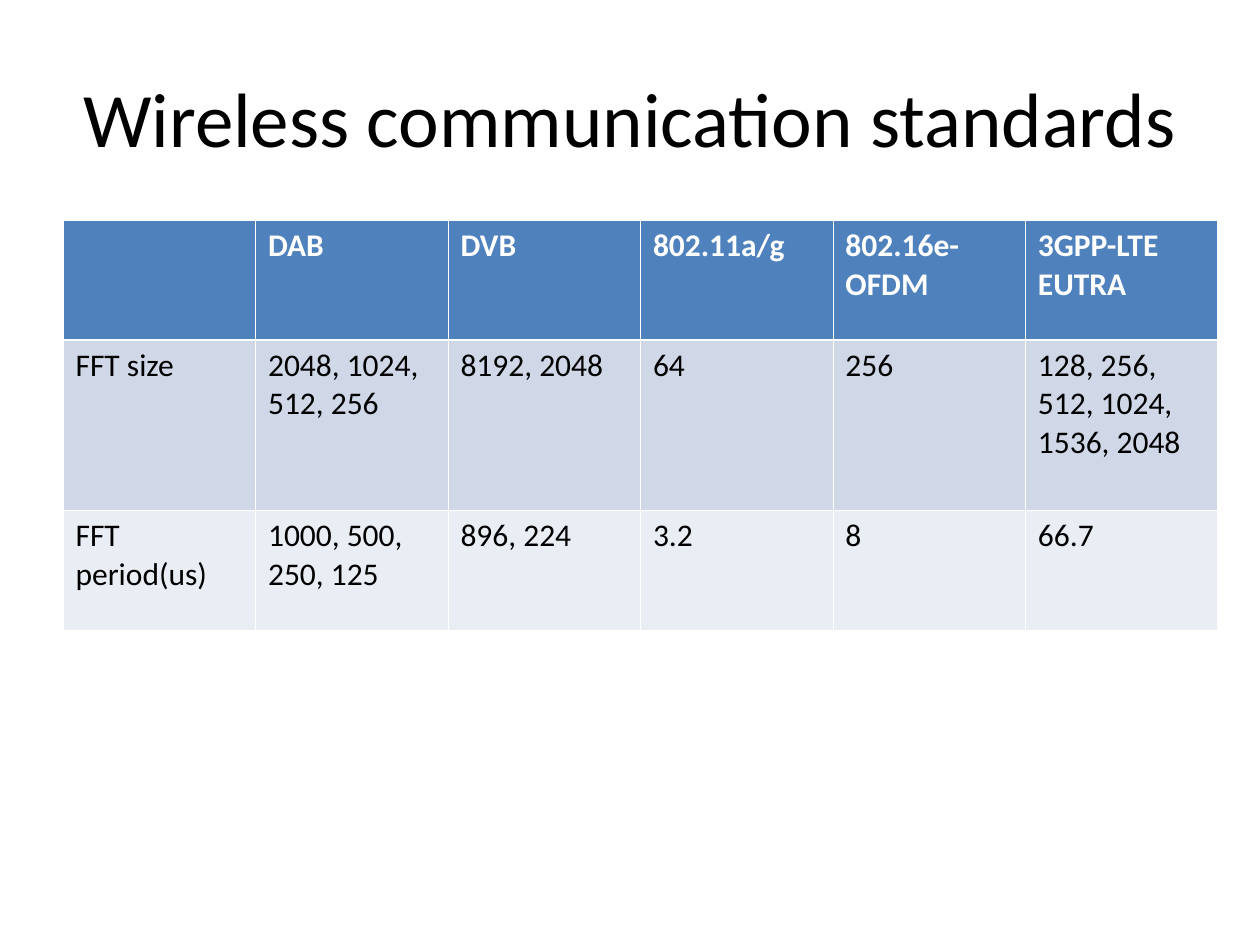
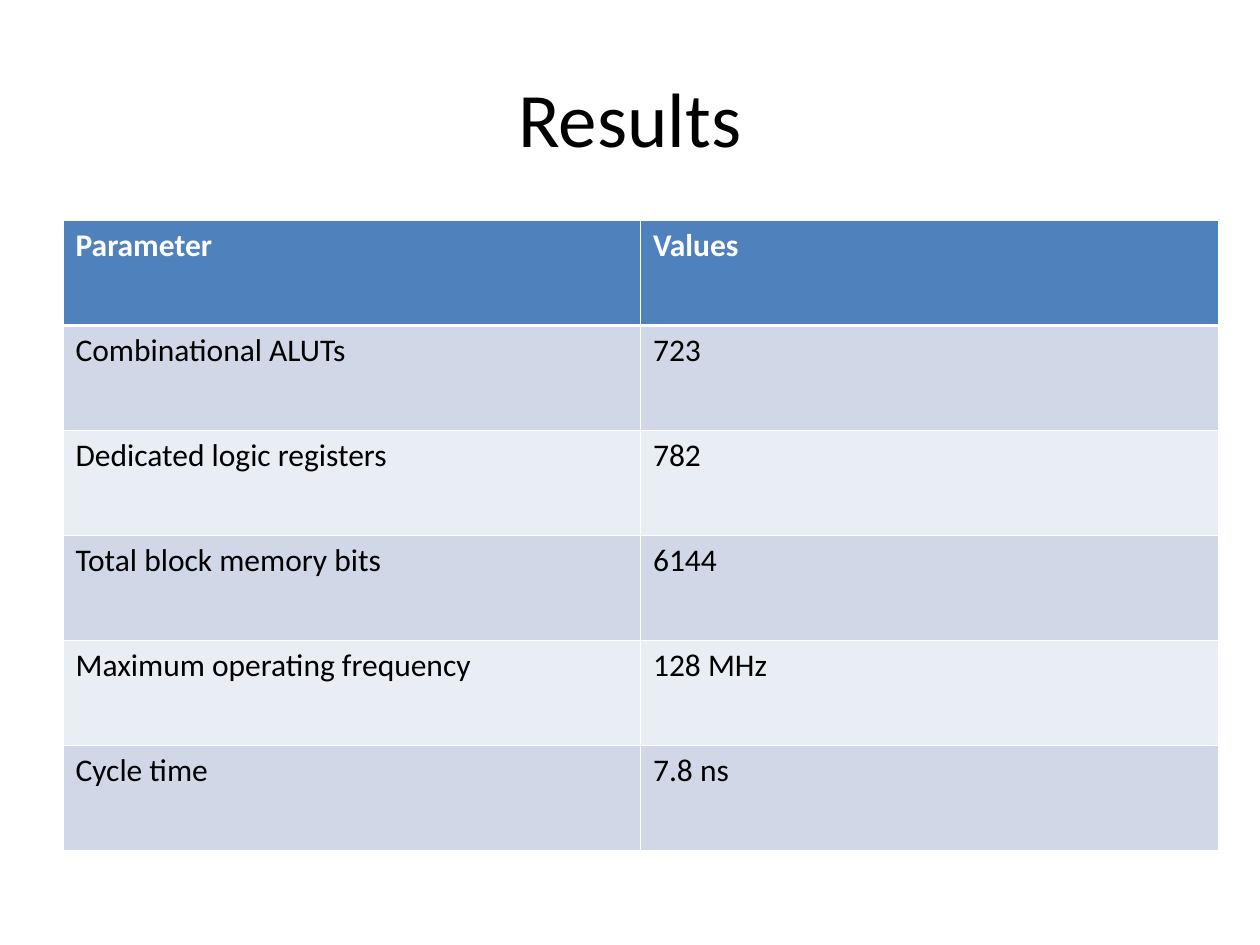
import pptx
import pptx.util
import pptx.dml.color
import pptx.enum.text
import pptx.oxml.ns
import lxml.etree as etree

Pt = pptx.util.Pt
RGB = pptx.dml.color.RGBColor
qn = pptx.oxml.ns.qn

# Content: title, row heights, table rows
SLIDES = [
    ("Wireless communication standards", [68.4, 97.2, 68.4], [
        ["", "DAB", "DVB", "802.11a/g", "802.16e-OFDM", "3GPP-LTE EUTRA"],
        ["FFT size", "2048, 1024, 512, 256", "8192, 2048", "64", "256",
         "128, 256, 512, 1024, 1536, 2048"],
        ["FFT period(us)", "1000, 500, 250, 125", "896, 224", "3.2", "8", "66.7"],
    ]),
    ("Results", [60] * 6, [
        ["Parameter", "Values"],
        ["Combinational ALUTs", "723"],
        ["Dedicated logic registers", "782"],
        ["Total block memory bits", "6144"],
        ["Maximum operating frequency", "128 MHz"],
        ["Cycle time", "7.8 ns"],
    ]),
]

# Shared style
FONT = "Calibri"
BLACK = RGB(0x00, 0x00, 0x00)
WHITE = RGB(0xFF, 0xFF, 0xFF)
BLUE = RGB(0x4F, 0x81, 0xBD)
BANDS = [RGB(0xE9, 0xED, 0xF4), RGB(0xD0, 0xD8, 0xE8)]
LEFT, TOP, WIDTH = 36, 126, 660
THIN, THICK = 0.45, 1.47


def style(para, size, color, bold=False):
    font = para.font
    font.name, font.size, font.bold = FONT, Pt(size), bold
    font.color.rgb = color


def add_title(slide, text):
    box = slide.shapes.add_textbox(Pt(36), Pt(21.6), Pt(648), Pt(90))
    frame = box.text_frame
    frame.word_wrap = True
    frame.vertical_anchor = pptx.enum.text.MSO_ANCHOR.MIDDLE
    para = frame.paragraphs[0]
    para.text = text
    para.alignment = pptx.enum.text.PP_ALIGN.CENTER
    style(para, 44, BLACK)


def add_edges(cell, row):
    # The rule between header and body is heavier than the others
    widths = {"L": THIN, "R": THIN,
              "T": THICK if row == 1 else THIN,
              "B": THICK if row == 0 else THIN}
    props = cell._tc.get_or_add_tcPr()
    for side, width in widths.items():
        line = etree.SubElement(props, qn("a:ln" + side), w=str(int(Pt(width))))
        fill = etree.SubElement(line, qn("a:solidFill"))
        etree.SubElement(fill, qn("a:srgbClr"), val=str(WHITE))


def add_grid(slide, heights, rows):
    count = len(rows[0])
    table = slide.shapes.add_table(len(rows), count, Pt(LEFT), Pt(TOP),
                                   Pt(WIDTH), Pt(sum(heights))).table
    for col in table.columns:
        col.width = Pt(WIDTH / count)
    for r, (height, texts) in enumerate(zip(heights, rows)):
        table.rows[r].height = Pt(height)
        head = r == 0
        for c, text in enumerate(texts):
            cell = table.cell(r, c)
            add_edges(cell, r)
            cell.fill.solid()
            cell.fill.fore_color.rgb = BLUE if head else BANDS[r % 2]
            para = cell.text_frame.paragraphs[0]
            para.text = text
            style(para, 18, WHITE if head else BLACK, head)


def main():
    deck = pptx.Presentation()
    deck.slide_width, deck.slide_height = Pt(720), Pt(540)
    for title, heights, rows in SLIDES:
        slide = deck.slides.add_slide(deck.slide_layouts[6])
        add_title(slide, title)
        add_grid(slide, heights, rows)
    deck.save("out.pptx")


if __name__ == "__main__":
    main()
